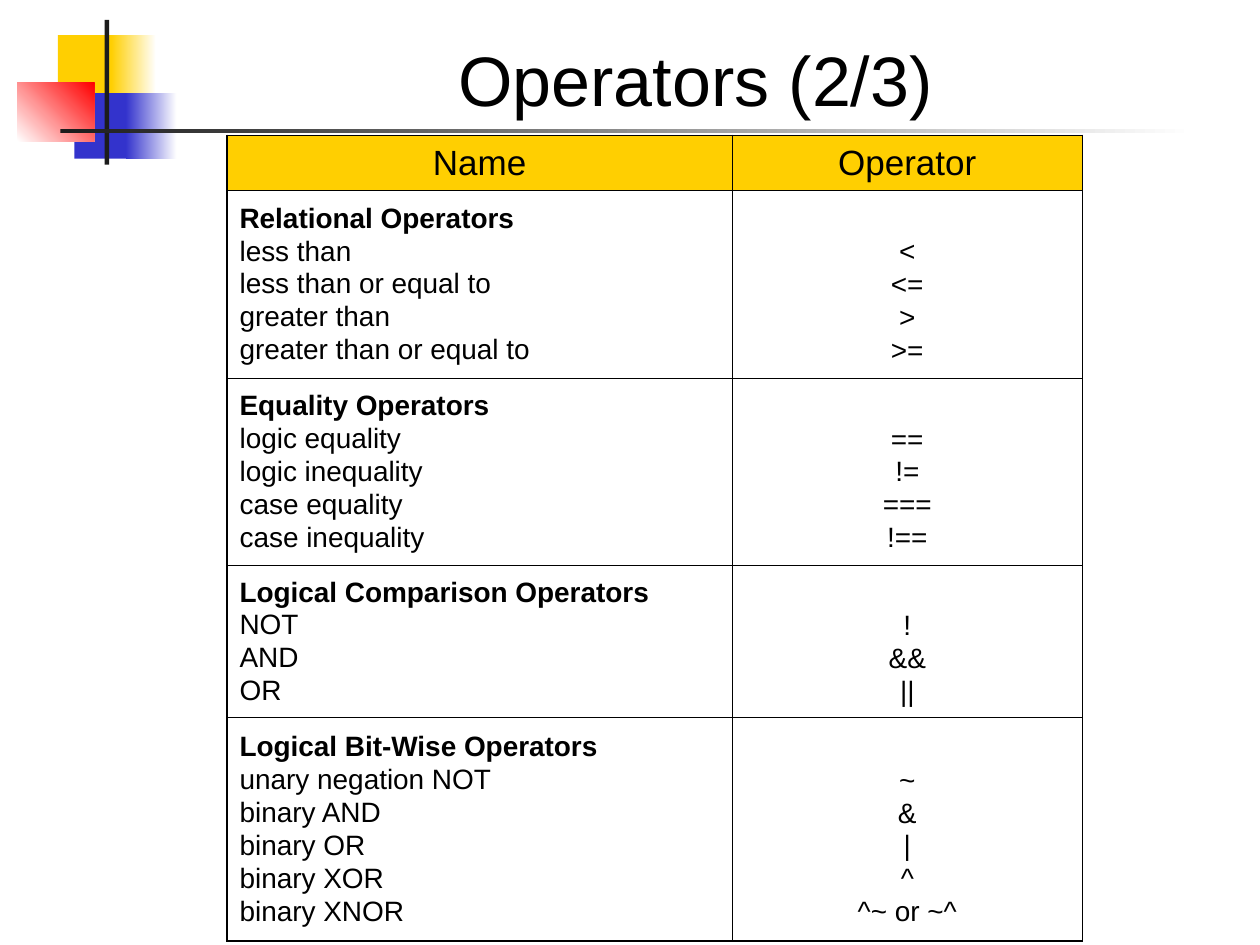
from lxml import etree
from pptx import Presentation
from pptx.dml.color import RGBColor
from pptx.enum.shapes import MSO_SHAPE
from pptx.enum.text import MSO_ANCHOR, PP_ALIGN
from pptx.oxml.ns import qn
from pptx.util import Cm, Pt

RECTANGLE = MSO_SHAPE.RECTANGLE
MIDDLE, BOTTOM = MSO_ANCHOR.MIDDLE, MSO_ANCHOR.BOTTOM
LEFT, CENTER = PP_ALIGN.LEFT, PP_ALIGN.CENTER

FONT = "Arial"
OUTER_LINE, INNER_LINE = Pt(1.08), Pt(0.45)
COLORS = {
    "yellow": "FFCF01",
    "blue": "3333CC",
    "red": "FF0000",
    "dark": "1C1C1C",
    "white": "FFFFFF",
    "black": "000000",
}


def add_run(paragraph, text, size, bold=False):
    run = paragraph.add_run()
    run.text = text
    run.font.name = FONT
    run.font.size = Pt(size)
    run.font.bold = bold
    run.font.color.rgb = RGBColor.from_string(COLORS["black"])


def add_border(cell, side, width):
    line = etree.SubElement(cell._tc.get_or_add_tcPr(), qn(f"a:ln{side}"), w=str(int(width)))
    fill = etree.SubElement(line, qn("a:solidFill"))
    etree.SubElement(fill, qn("a:srgbClr"), val=COLORS["black"])


presentation = Presentation()
presentation.slide_width = Cm(25.4)
presentation.slide_height = Cm(19.05)
slide = presentation.slides.add_slide(presentation.slide_layouts[5])

ornaments = [
    (1.17, 0.71, 1.22, 1.32, ["yellow"], 0),
    (2.24, 0.71, 0.91, 1.32, ["yellow", "white"], 0),
    (1.5, 1.88, 1.17, 1.32, ["blue"], 0),
    (2.54, 1.88, 1.02, 1.32, ["blue", "white"], 0),
    (0.35, 1.67, 1.55, 1.18, ["white", "red"], 45),
    (2.11, 0.4, 0.09, 2.92, ["dark"], 0),
    (1.22, 2.6, 22.86, 0.09, ["dark", "white"], 0),
]
for left, top, width, height, tones, angle in ornaments:
    ornament = slide.shapes.add_shape(RECTANGLE, Cm(left), Cm(top), Cm(width), Cm(height))
    ornament.shadow.inherit = False
    ornament.line.fill.background()
    if len(tones) == 1:
        ornament.fill.solid()
        ornament.fill.fore_color.rgb = RGBColor.from_string(COLORS[tones[0]])
    else:
        ornament.fill.gradient()
        ornament.fill.gradient_angle = angle
        for stop, tone in zip(ornament.fill.gradient_stops, tones):
            stop.color.rgb = RGBColor.from_string(COLORS[tone])

title = slide.shapes.title
title.left, title.top, title.width, title.height = Cm(3.2), Cm(0.43), Cm(21.64), Cm(2.13)
title.text_frame.vertical_anchor = BOTTOM
title.text_frame.paragraphs[0].alignment = CENTER
add_run(title.text_frame.paragraphs[0], "Operators (2/3)", 40)

operator_groups = [
    ("Relational Operators", 3.78, [
        ("less than", "<"),
        ("less than or equal to", "<="),
        ("greater than", ">"),
        ("greater than or equal to", ">="),
    ]),
    ("Equality Operators", 3.78, [
        ("logic equality", "=="),
        ("logic inequality", "!="),
        ("case equality", "==="),
        ("case inequality", "!=="),
    ]),
    ("Logical Comparison Operators", 3.07, [
        ("NOT", "!"),
        ("AND", "&&"),
        ("OR", "||"),
    ]),
    ("Logical Bit-Wise Operators", 4.5, [
        ("unary negation NOT", "~"),
        ("binary AND", "&"),
        ("binary OR", "|"),
        ("binary XOR", "^"),
        ("binary XNOR", "^~ or ~^"),
    ]),
]
column_widths = [10.18, 7.06]
row_heights = [1.11] + [height for _, height, _ in operator_groups]
rows = [(["Name"], ["Operator"])]
for heading, _, entries in operator_groups:
    names, symbols = zip(*entries)
    rows.append(([heading, *names], symbols))

operators = slide.shapes.add_table(
    len(rows), 2, Cm(4.58), Cm(2.73), Cm(sum(column_widths)), Cm(sum(row_heights))
).table
operators.first_row = False
operators.horz_banding = False
for column, width in zip(operators.columns, column_widths):
    column.width = Cm(width)

for r, (row_texts, height) in enumerate(zip(rows, row_heights)):
    operators.rows[r].height = Cm(height)
    for c, lines in enumerate(row_texts):
        cell = operators.cell(r, c)
        is_header = r == 0
        is_symbol = c == 1 and not is_header
        cell.vertical_anchor = MIDDLE
        cell.margin_left = cell.margin_right = Cm(0.25)
        cell.margin_top = Cm(0.81 if is_symbol else 0.13)
        cell.margin_bottom = Cm(0.13)

        outer_sides = {"L": c == 0, "R": c == 1, "T": is_header, "B": r == len(rows) - 1}
        for side, is_outer in outer_sides.items():
            add_border(cell, side, OUTER_LINE if is_outer else INNER_LINE)
        if is_header:
            cell.fill.solid()
            cell.fill.fore_color.rgb = RGBColor.from_string(COLORS["yellow"])
        else:
            cell.fill.background()

        for i, text in enumerate(lines):
            paragraph = cell.text_frame.paragraphs[0] if i == 0 else cell.text_frame.add_paragraph()
            paragraph.alignment = CENTER if is_header or is_symbol else LEFT
            if i:
                paragraph.space_before = Pt(1)
            is_heading = i == 0 and c == 0 and not is_header
            add_run(paragraph, text, 20 if is_header else 16, is_heading)

presentation.save("out.pptx")
